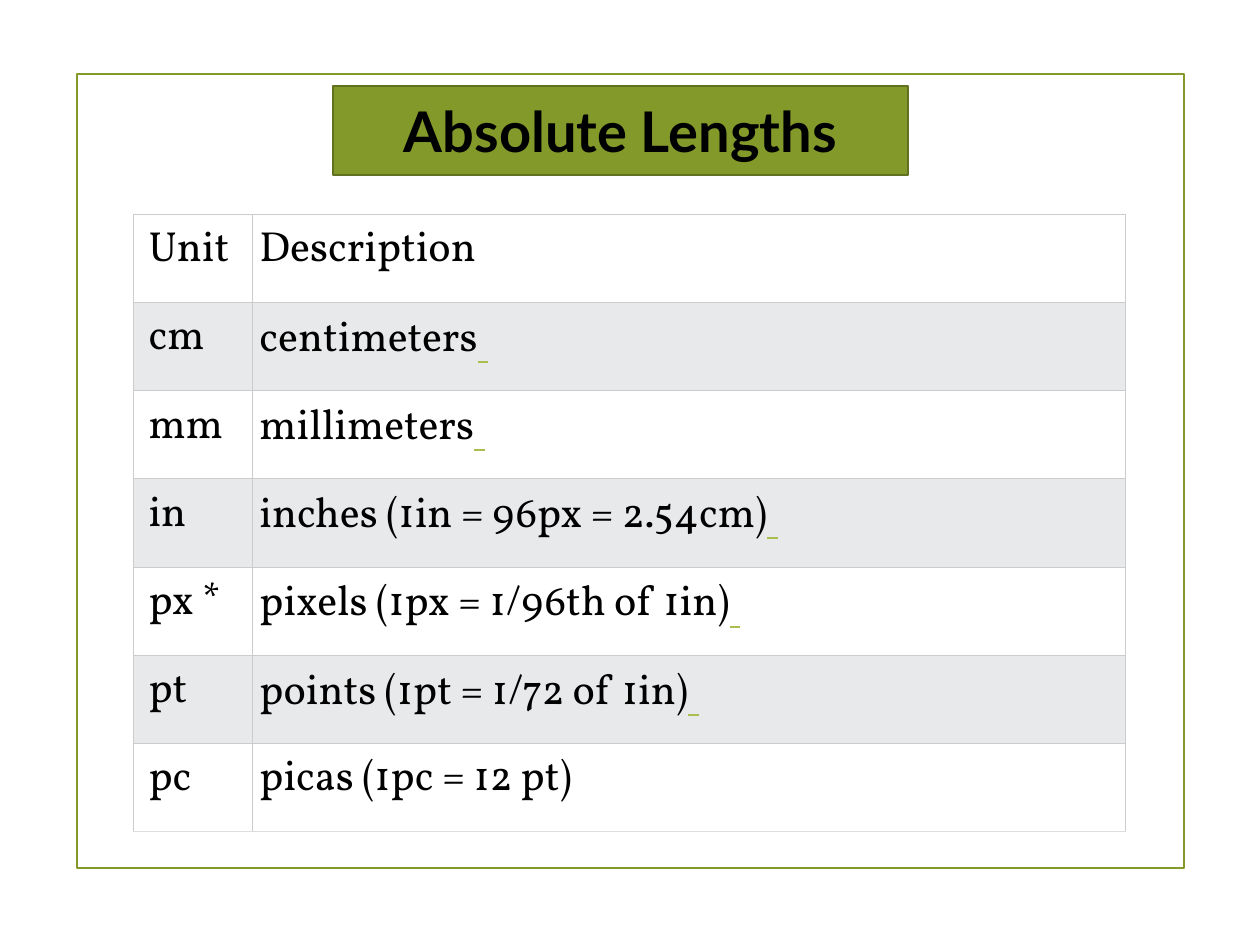
from lxml import etree
from pptx import Presentation
from pptx.dml.color import RGBColor as RGB
from pptx.enum.shapes import MSO_SHAPE as SHAPE
from pptx.enum.text import MSO_ANCHOR as ANCHOR, PP_ALIGN as ALIGN
from pptx.oxml.ns import qn
from pptx.util import Inches, Pt

COLORS = {
    "green": "83992A",
    "dark_green": "61711F",
    "link": "A8BF4D",
    "text": "000000",
    "white": "FFFFFF",
    "band": "E7E9EB",
    "border": "CCCCCC",
    "last_border": "DDDDDD",
}

# Unit, description, and whether an underlined space follows
UNITS = [
    ("Unit", "Description", False),
    ("cm", "centimeters", True),
    ("mm", "millimeters", True),
    ("in", "inches (1in = 96px = 2.54cm)", True),
    ("px *", "pixels (1px = 1/96th of 1in)", True),
    ("pt", "points (1pt = 1/72 of 1in)", True),
    ("pc", "picas (1pc = 12 pt)", False),
]
COL_WIDTHS = (0.94, 6.93)
ROW_HEIGHT = 0.7


def rgb(name):
    """Return the named colour."""
    return RGB.from_string(COLORS[name])


def add_text(p, text, font="Vollkorn", size=24, color="text", bold=False,
             underline=False):
    """Add a formatted run to a paragraph."""
    r = p.add_run()
    r.text = text
    r.font.name = font
    r.font.size = Pt(size)
    r.font.color.rgb = rgb(color)
    r.font.bold = bold
    r.font.underline = underline


def add_box(s, left, top, width, height, line, fill=None):
    """Add an outlined rectangle, filled when a colour is given."""
    sp = s.shapes.add_shape(SHAPE.RECTANGLE, Inches(left), Inches(top),
                            Inches(width), Inches(height))
    sp.shadow.inherit = False
    sp.line.color.rgb = rgb(line)
    sp.line.width = Pt(1.25)
    if fill:
        sp.fill.solid()
        sp.fill.fore_color.rgb = rgb(fill)
    else:
        sp.fill.background()
    return sp


def add_title(s, text):
    """Add the green title box."""
    tf = add_box(s, 2.64, 0.68, 4.57, 0.71, "dark_green", "green").text_frame
    tf.vertical_anchor = ANCHOR.MIDDLE
    p = tf.paragraphs[0]
    p.alignment = ALIGN.CENTER
    add_text(p, text, font="Lato", size=32, bold=True)


def set_borders(cell, bottom):
    """Draw thin lines on the four sides of a cell."""
    tc_pr = cell._tc.get_or_add_tcPr()
    sides = {"lnL": "border", "lnR": "border", "lnT": "border", "lnB": bottom}
    for i, (tag, color) in enumerate(sides.items()):
        ln = etree.Element(qn(f"a:{tag}"), w=str(Pt(0.6)))
        fill = etree.SubElement(ln, qn("a:solidFill"))
        etree.SubElement(fill, qn("a:srgbClr"), val=COLORS[color])
        tc_pr.insert(i, ln)


def format_cell(cell, fill, left_margin, bottom):
    """Set the fill, margins and borders of a cell."""
    cell.fill.solid()
    cell.fill.fore_color.rgb = rgb(fill)
    cell.margin_left = Inches(left_margin)
    cell.margin_right = cell.margin_top = cell.margin_bottom = Inches(0.06)
    set_borders(cell, bottom)


def add_units_table(s):
    """Add the banded table of length units."""
    table = s.shapes.add_table(
        len(UNITS), len(COL_WIDTHS), Inches(1.06), Inches(1.7),
        Inches(sum(COL_WIDTHS)), Inches(ROW_HEIGHT * len(UNITS))).table
    for col, width in zip(table.columns, COL_WIDTHS):
        col.width = Inches(width)
    for i, (unit, description, has_link) in enumerate(UNITS):
        table.rows[i].height = Inches(ROW_HEIGHT)
        fill = "band" if i % 2 else "white"
        bottom = "last_border" if i == len(UNITS) - 1 else "border"
        for j, text in enumerate((unit, description)):
            cell = table.cell(i, j)
            format_cell(cell, fill, 0.06 if j else 0.12, bottom)
            add_text(cell.text_frame.paragraphs[0], text)
        if has_link:
            add_text(cell.text_frame.paragraphs[0], " ", font="Lato",
                     color="link", underline=True)


def main():
    """Build and save the slide."""
    prs = Presentation()
    prs.slide_width, prs.slide_height = Inches(10), Inches(7.5)
    s = prs.slides.add_slide(prs.slide_layouts[6])
    add_box(s, 0.61, 0.59, 8.79, 6.3, "green")
    add_title(s, "Absolute Lengths")
    add_units_table(s)
    prs.save("out.pptx")


main()
